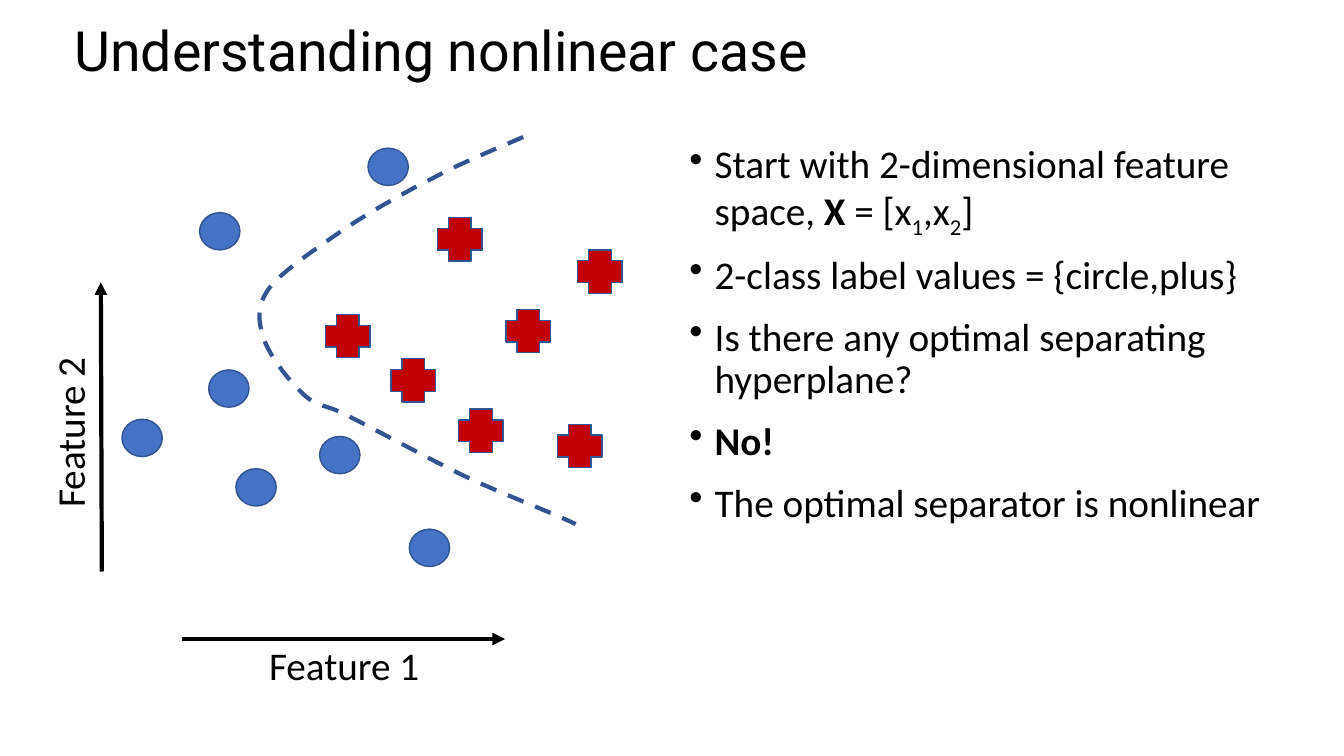
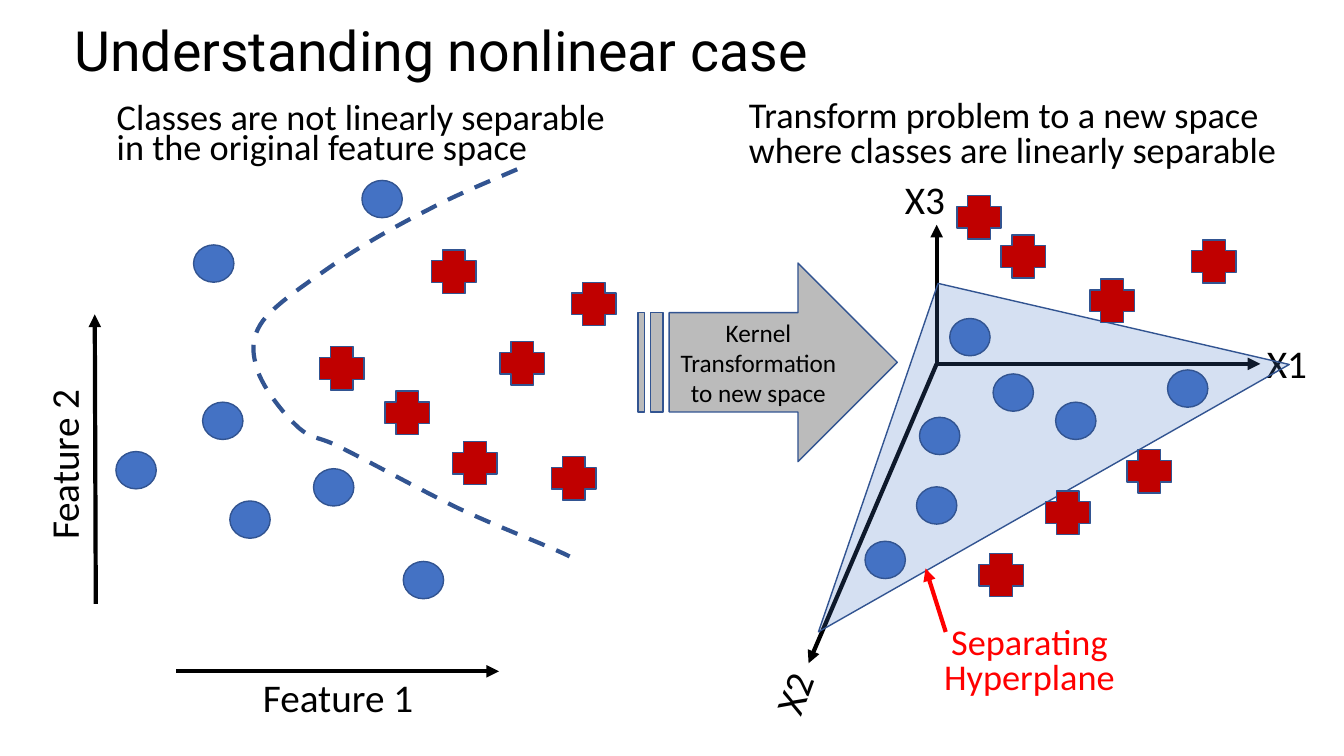
"""Build two slides on separating classes with a nonlinear boundary."""
from dataclasses import dataclass
from typing import Any

import lxml.etree
import pptx
import pptx.dml.color
import pptx.enum.dml
import pptx.enum.shapes
import pptx.enum.text
import pptx.oxml.ns
import pptx.util

SCALE = 9144
BLACK, BLUE, EDGE = "000000", "4472C4", "325491"
RED, BRIGHT, GRAY = "C00000", "FF0000", "181717"
KIND = pptx.enum.shapes.MSO_SHAPE
ALIGN = pptx.enum.text.PP_ALIGN
ANCHOR = pptx.enum.text.MSO_ANCHOR
Point = tuple[int, int]


@dataclass(frozen=True)
class Run:
    text: str
    bold: bool = False
    base: int = 0


@dataclass(frozen=True)
class Style:
    size: float = 28
    color: str = BLACK
    font: str = "Calibri"
    lead: float = 0.8
    align: Any = ALIGN.LEFT
    anchor: Any = ANCHOR.TOP
    bullet: bool = False


@dataclass(frozen=True)
class Label:
    text: str
    x: int
    y: int
    wide: int
    high: int
    style: Style = Style()
    turn: float = 0


@dataclass(frozen=True)
class Mark:
    kind: Any
    wide: int
    high: int
    fill: str


@dataclass(frozen=True)
class Arrow:
    start: Point
    end: Point
    color: str = BLACK


TITLE = Style(39.6, font="Roboto", lead=0.9, anchor=ANCHOR.MIDDLE)
BODY = Style(lead=0.9, bullet=True)
AXIS = Style(align=ALIGN.CENTER)
NOTE = Style(25.9)
TIGHT = Style(25.9, lead=0.7)
ALERT = Style(25.9, BRIGHT, align=ALIGN.CENTER)
KERNEL = Style(18, lead=1, align=ALIGN.CENTER, anchor=ANCHOR.MIDDLE)

DOT = Mark(KIND.OVAL, 40, 37, BLUE)
PLUS = Mark(KIND.CROSS, 44, 43, RED)

FLAT_DOTS = [(406, 525), (198, 211), (365, 147), (121, 416), (207, 367), (317, 433), (234, 465)]
FLAT_PLUSES = [(434, 216), (553, 421), (388, 356), (502, 307), (455, 406), (323, 312), (573, 248)]
DEEP_DOTS = [(1158, 367), (858, 537), (985, 371), (912, 414), (942, 316), (909, 483), (1047, 399)]
DEEP_PLUSES = [(993, 233), (1081, 277), (1037, 487), (971, 549), (1118, 446), (1182, 238), (949, 194)]
CURVE = [
    (519, 136), (489, 149), (459, 161), (429, 177),
    (399, 192), (366, 211), (339, 229),
    (312, 248), (280, 269), (267, 286),
    (254, 304), (256, 319), (262, 337),
    (268, 354), (288, 380), (303, 393),
    (317, 405), (322, 400), (348, 414),
    (374, 427), (423, 454), (460, 472),
    (498, 490), (551, 510), (571, 520),
]
POINTS = [
    [Run("Start with 2-dimensional feature space, "), Run("X", True), Run(" = [x"),
     Run("1", base=-25), Run(",x"), Run("2", base=-25), Run("]")],
    [Run("2-class label values = {circle,plus}")],
    [Run("Is there any optimal separating hyperplane?")],
    [Run("No!", True)],
    [Run("The optimal separator is nonlinear")],
]
AXES = [Arrow((929, 361), end) for end in ((1250, 361), (802, 658), (929, 223))]
NAMES = [
    Label("X1", 1245, 341, 63, 49, AXIS),
    Label("X2", 755, 665, 73, 49, AXIS, 290.4),
    Label("X3", 886, 178, 63, 49, AXIS),
]
NOTES = [
    Label("Separating Hyperplane", 917, 618, 208, 88, ALERT),
    Label("Transform problem to a new space where classes are linearly separable",
          733, 95, 545, 85, NOTE),
    Label("Classes are not linearly separable in the original feature space",
          106, 100, 520, 73, TIGHT),
]


def px(size: float) -> pptx.util.Emu:
    """Turn px into EMU."""
    return pptx.util.Emu(round(size * SCALE))


def rgb(color: str) -> pptx.dml.color.RGBColor:
    """Turn a hex string into a colour."""
    return pptx.dml.color.RGBColor.from_string(color)


def child(node: Any, tag: str, **attrs: str) -> Any:
    """Append a drawing element to a node."""
    return lxml.etree.SubElement(node, pptx.oxml.ns.qn(tag), attrs)


def stroke(line: Any, color: str, width: float) -> None:
    """Set the colour and width of a line."""
    line.color.rgb = rgb(color)
    line.width = pptx.util.Pt(width)


def write(frame: Any, paras: list[list[Run]], style: Style) -> None:
    """Fill a text frame run by run."""
    frame.word_wrap = True
    frame.vertical_anchor = style.anchor
    for index, runs in enumerate(paras):
        para = frame.add_paragraph() if index else frame.paragraphs[0]
        if style.bullet:
            props = para._p.get_or_add_pPr()
            props.set("marL", str(px(25)))
            props.set("indent", str(px(-25)))
            child(props, "a:buChar", char="•")
        para.alignment = style.align
        para.line_spacing = style.lead
        para.space_before = pptx.util.Pt(14 if index else 0)
        for item in runs:
            run = para.add_run()
            run.text = item.text
            run.font.size = pptx.util.Pt(style.size)
            run.font.name = style.font
            run.font.bold = item.bold
            run.font.color.rgb = rgb(style.color)
            if item.base:
                run._r.get_or_add_rPr().set("baseline", str(item.base * 1000))


def text(slide: Any, label: Label) -> None:
    """Draw a label in a text box."""
    box = slide.shapes.add_textbox(*map(px, (label.x, label.y, label.wide, label.high)))
    box.rotation = label.turn
    write(box.text_frame, [[Run(label.text)]], label.style)


def shape(slide: Any, mark: Mark, spot: Point, alpha: int = 100) -> Any:
    """Draw a filled preset shape."""
    item = slide.shapes.add_shape(mark.kind, *map(px, (*spot, mark.wide, mark.high)))
    item.shadow.inherit = False
    item.fill.solid()
    item.fill.fore_color.rgb = rgb(mark.fill)
    stroke(item.line, EDGE, 1)
    if alpha < 100:
        tint = item._element.spPr.find(".//" + pptx.oxml.ns.qn("a:srgbClr"))
        child(tint, "a:alpha", val=str(alpha * 1000))
    return item


def arrow(slide: Any, item: Arrow) -> None:
    """Draw a straight arrow."""
    kind = pptx.enum.shapes.MSO_CONNECTOR.STRAIGHT
    line = slide.shapes.add_connector(kind, *map(px, item.start + item.end))
    stroke(line.line, item.color, 3)
    child(line.line._get_or_add_ln(), "a:tailEnd", type="triangle")
    child(line._element.spPr, "a:effectLst")


def marks(slide: Any, mark: Mark, spots: list[Point], dx: int = 0, dy: int = 0) -> None:
    """Draw one mark at each spot."""
    for x, y in spots:
        shape(slide, mark, (x + dx, y + dy))


def bend(nodes: list[Point], steps: int = 12) -> list[tuple[float, float]]:
    """Sample a chain of cubic curves."""
    spots: list[tuple[float, float]] = [nodes[0]]
    for first in range(0, len(nodes) - 1, 3):
        part = nodes[first:first + 4]
        for step in range(1, steps + 1):
            t = step / steps
            rates = ((1 - t) ** 3, 3 * t * (1 - t) ** 2, 3 * t * t * (1 - t), t ** 3)
            spots.append((sum(r * p[0] for r, p in zip(rates, part)),
                          sum(r * p[1] for r, p in zip(rates, part))))
    return spots


def plot(slide: Any, dx: int = 0, dy: int = 0) -> None:
    """Draw the flat feature space at an offset."""
    marks(slide, DOT, FLAT_DOTS, dx, dy)
    marks(slide, PLUS, FLAT_PLUSES, dx, dy)
    arrow(slide, Arrow((181 + dx, 634 + dy), (501 + dx, 634 + dy)))
    text(slide, Label("Feature 1", 257 + dx, 640 + dy, 208, 49))
    arrow(slide, Arrow((101 + dx, 567 + dy), (100 + dx, 280 + dy)))
    text(slide, Label("Feature 2", dx - 30, 385 + dy, 208, 49, turn=270))
    spots = [(px(x + dx), px(y + dy)) for x, y in bend(CURVE)]
    pen = slide.shapes.build_freeform(*spots[0], scale=1.0)
    pen.add_line_segments(spots[1:], close=False)
    curve = pen.convert_to_shape()
    curve.shadow.inherit = False
    curve.fill.background()
    stroke(curve.line, EDGE, 3)
    curve.line.dash_style = pptx.enum.dml.MSO_LINE.DASH


def start(deck: Any) -> Any:
    """Add a blank slide with the shared title."""
    slide = deck.slides.add_slide(deck.slide_layouts[6])
    text(slide, Label("Understanding nonlinear case", 64, 24, 1150, 58, TITLE))
    return slide


def first(deck: Any) -> None:
    """Build the slide that states the problem."""
    slide = start(deck)
    box = slide.shapes.add_textbox(*map(px, (674, 139, 643, 525)))
    write(box.text_frame, POINTS, BODY)
    plot(slide)


def second(deck: Any) -> None:
    """Build the slide that shows the transform."""
    slide = start(deck)
    plot(slide, -6, 32)
    for axis in AXES:
        arrow(slide, axis)
    for name in NAMES:
        text(slide, name)
    plane = shape(slide, Mark(KIND.ISOSCELES_TRIANGLE, 537, 242, BLUE), (717, 268), 22)
    plane.adjustments[0] = 0.51
    plane.rotation = 330.4
    marks(slide, DOT, DEEP_DOTS)
    marks(slide, PLUS, DEEP_PLUSES)
    block = shape(slide, Mark(KIND.STRIPED_RIGHT_ARROW, 257, 197, GRAY), (633, 261), 29)
    write(block.text_frame, [[Run("Kernel Transformation to new space")]], KERNEL)
    for note in NOTES:
        text(slide, note)
    arrow(slide, Arrow((938, 627), (918, 564), BRIGHT))


def main() -> None:
    """Build and save the deck."""
    deck = pptx.Presentation()
    deck.slide_width, deck.slide_height = px(1333), px(750)
    first(deck)
    second(deck)
    deck.save("out.pptx")


if __name__ == "__main__":
    main()
